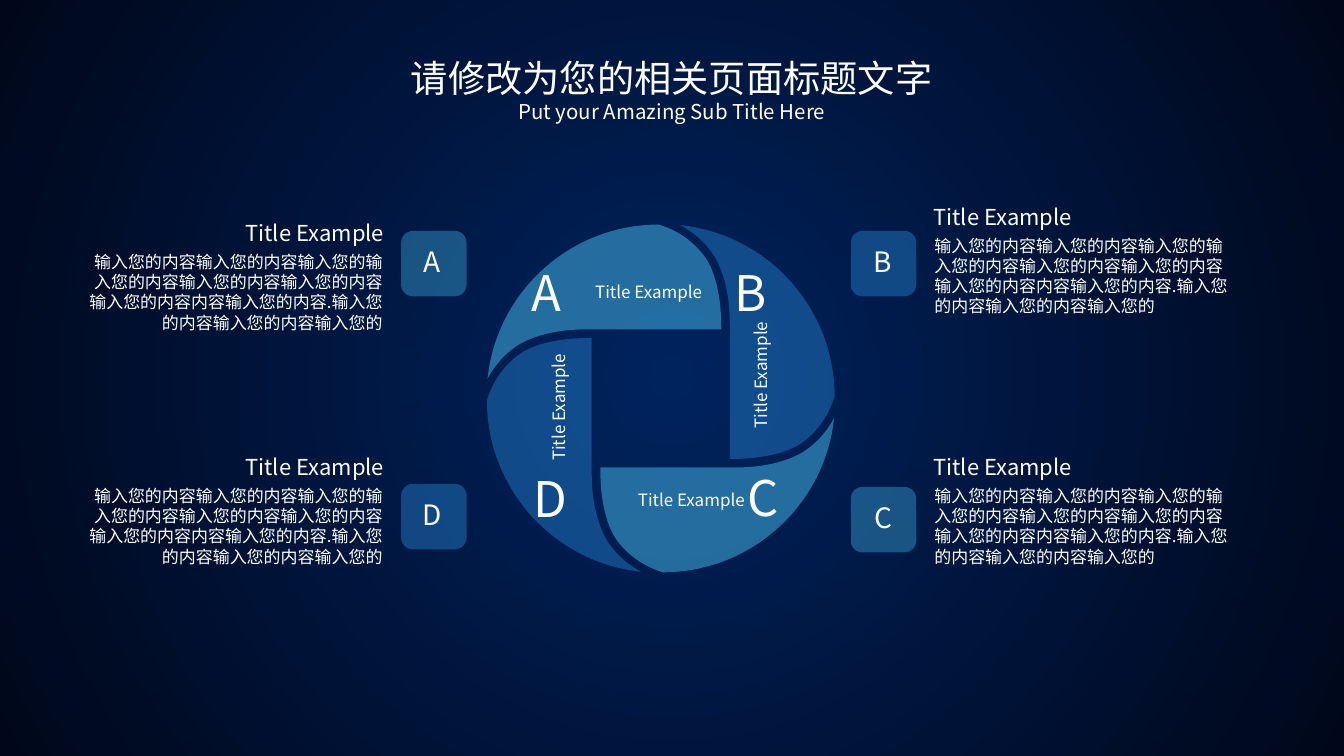
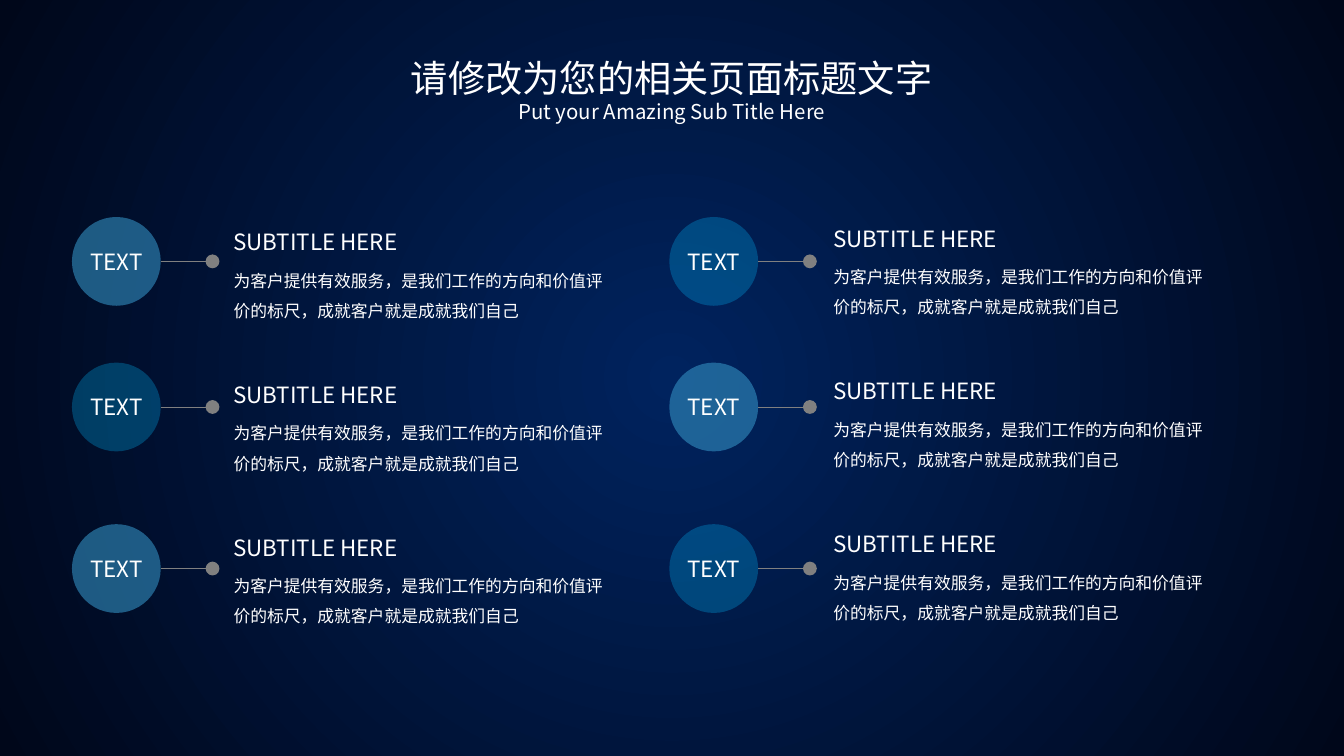
from lxml import etree
from pptx import Presentation
from pptx.dml.color import RGBColor
from pptx.enum.shapes import MSO_CONNECTOR, MSO_SHAPE
from pptx.enum.text import MSO_ANCHOR, PP_ALIGN
from pptx.oxml.ns import qn
from pptx.util import Pt

LEFT, CENTER, RIGHT = PP_ALIGN.LEFT, PP_ALIGN.CENTER, PP_ALIGN.RIGHT
MIDDLE = MSO_ANCHOR.MIDDLE
ROUNDED, OVAL = MSO_SHAPE.ROUNDED_RECTANGLE, MSO_SHAPE.OVAL
STRAIGHT = MSO_CONNECTOR.STRAIGHT

WHITE = RGBColor(0xFF, 0xFF, 0xFF)
GLOW = RGBColor(0x00, 0x23, 0x5E)
NIGHT = RGBColor(0x00, 0x07, 0x1A)
TEAL = RGBColor(0x32, 0x8F, 0xC1)
BLUE = RGBColor(0x23, 0x78, 0xC2)
CYAN = RGBColor(0x00, 0xAE, 0xEF)
GREY = RGBColor(0x80, 0x80, 0x80)
SANS, BODY_FONT = "Noto Sans CJK SC", "Arial"

TITLE = "请修改为您的相关页面标题文字"
SUBTITLE = "Put your Amazing Sub Title Here"

# Petal wheel: one outline around the hub, repeated at quarter turns
HUB = (472, 284.6)
PETAL_START = (-100.1, -39.2)
PETAL_SEGMENTS = [  # control, control, end; a straight side has its end only
    [(-84.2, -47.9), (-64.8, -49.3), (-54, -49.3)],
    [(-50.4, -49.3), (-47.5, -49.3), (-47.5, -49.3)],
    [(43.2, -49.3)],
    [(43.2, -56.5), (43.2, -80.3), (33.8, -97.6)],
    [(21.6, -117.7), (0.7, -123.5), (-1.4, -124.2)],
    [(-64.8, -124.2), (-117.4, -76), (-123.8, -14)],
    [(-119.5, -22), (-112.3, -32), PETAL_START],
]
PETAL_TITLE = "Title Example"
PETALS = [  # letter, letter place, title place, title rotation, colour, opacity
    ("A", (379.4, 187.2), (401.5, 201.3), 0, TEAL, 70),
    ("B", (524.8, 187.2), (493.2, 272.6), 270, BLUE, 50),
    ("C", (534.2, 334.1), (432, 349.5), 0, TEAL, 70),
    ("D", (380.9, 334.8), (349.2, 295.6), 270, BLUE, 50),
]

CARD_TITLE = "Title Example"
CARD_BODY = ("输入您的内容输入您的内容输入您的输入您的内容输入您的内容输入您的内容"
             "输入您的内容内容输入您的内容.输入您的内容输入您的内容输入您的")
CARDS = [  # letter, badge top, title top, colour, side
    ("A", 164.9, 157, TEAL, "left"),
    ("B", 164.9, 145.4, BLUE, "right"),
    ("C", 347.8, 324, TEAL, "right"),
    ("D", 345.6, 324, BLUE, "left"),
]
SIDES = {  # badge left, badge right inset, title left, body left, alignment
    "left": (286.5, 10.2, 56.2, 56.5, RIGHT),
    "right": (607.7, 7.6, 666.7, 667.4, LEFT),
}
BADGE = 46.8

ITEM_LABEL = "TEXT"
ITEM_TITLE = "SUBTITLE HERE"
ITEM_BODY = "为客户提供有效服务，是我们工作的方向和价值评价的标尺，成就客户就是成就我们自己"
ITEM_COLUMNS = [(51.4, 159.7, 159.6), (478.1, 588.2, 157)]  # circle, text left, first text top
CIRCLE_TOPS = [155, 259, 374.4]
ITEM_STEP = 109.1
CIRCLE, STEM = 63.4, 37
ITEM_COLOURS = [(TEAL, 60), (CYAN, 30)]


def paint_background(master):
    fill = master.background.fill
    fill.gradient()
    for stop, colour, position in zip(fill.gradient_stops, (GLOW, NIGHT), (0, 1)):
        stop.color.rgb = colour
        stop.position = position
    gradient = master.element.find(".//" + qn("p:bg")).find(".//" + qn("a:gradFill"))
    linear = gradient.find(qn("a:lin"))
    radial = etree.Element(qn("a:path"), {"path": "circle"})
    etree.SubElement(radial, qn("a:fillToRect"), dict.fromkeys("ltrb", "50000"))
    gradient.replace(linear, radial)


def write(shape, text, size, align=LEFT, font=SANS):
    para = shape.text_frame.paragraphs[0]
    para.text = text
    para.alignment = align
    for span in para.runs:
        span.font.size = Pt(size)
        span.font.name = font
        span.font.color.rgb = WHITE
        latin = span.font._element.find(qn("a:latin"))
        latin.addnext(etree.Element(qn("a:ea"), {"typeface": SANS}))


def add_text(page, text, left, top, width, height, size, align=LEFT, font=SANS, inset=(0, 0)):
    box = page.shapes.add_textbox(Pt(left), Pt(top), Pt(width), Pt(height))
    frame = box.text_frame
    frame.word_wrap = True
    frame.margin_left = frame.margin_right = Pt(inset[0])
    frame.margin_top = frame.margin_bottom = Pt(inset[1])
    write(box, text, size, align, font)
    return box


def tint(shape, colour, opacity):
    """Give a shape a see-through fill, without line or shadow."""
    shape.shadow.inherit = False
    shape.line.fill.background()
    shape.fill.solid()
    shape.fill.fore_color.rgb = colour
    colour_node = shape.element.spPr.find(qn("a:solidFill")).find(qn("a:srgbClr"))
    etree.SubElement(colour_node, qn("a:alpha"), {"val": str(opacity * 1000)})


def add_token(page, kind, text, left, top, side, size, colour, opacity):
    """Add a square or round shape with a centred one-line label."""
    token = page.shapes.add_shape(kind, Pt(left), Pt(top), Pt(side), Pt(side))
    tint(token, colour, opacity)
    token.text_frame.word_wrap = False
    token.text_frame.vertical_anchor = MIDDLE
    write(token, text, size, CENTER)
    return token


def add_page(deck):
    page = deck.slides.add_slide(deck.slide_layouts[6])
    add_text(page, TITLE, 196.6, 39.2, 566.8, 32.4, 26.6, CENTER)
    add_text(page, SUBTITLE, 278.4, 70.8, 403.2, 18, 14.6, CENTER)
    return page


def turn_point(point, turns):
    """Turn a point by quarter turns about the hub and place it on the page."""
    x, y = point
    for _ in range(turns):
        x, y = -y, x
    return Pt(HUB[0] + x), Pt(HUB[1] + y)


def add_petal(page, turns):
    segments = [[turn_point(point, turns) for point in segment] for segment in PETAL_SEGMENTS]
    builder = page.shapes.build_freeform(*turn_point(PETAL_START, turns))
    builder.add_line_segments([segment[-1] for segment in segments], close=True)
    petal = builder.convert_to_shape()
    lines = petal.element.spPr.findall(".//" + qn("a:lnTo"))
    for line, segment in zip(lines, segments):
        if len(segment) == 3:
            curve = etree.Element(qn("a:cubicBezTo"))
            for x, y in segment:
                place = {"x": str(x - petal.left), "y": str(y - petal.top)}
                etree.SubElement(curve, qn("a:pt"), place)
            line.getparent().replace(line, curve)
    return petal


def add_wheel(page):
    for turns, (letter, letter_at, title_at, rotation, colour, opacity) in enumerate(PETALS):
        tint(add_petal(page, turns), colour, opacity)
        add_text(page, letter, *letter_at, 38.9, 42.5, 35)
        title = add_text(page, PETAL_TITLE, *title_at, 100, 14.4, 12.1, RIGHT)
        title.rotation = rotation


def add_cards(page):
    for letter, badge_top, title_top, colour, side in CARDS:
        badge_left, badge_inset, title_left, body_left, align = SIDES[side]
        badge = add_token(page, ROUNDED, letter, badge_left, badge_top, BADGE, 20, colour, 50)
        badge.adjustments[0] = 0.18
        badge.text_frame.margin_bottom = Pt(6.5)
        badge.text_frame.margin_right = Pt(badge_inset)
        add_text(page, CARD_TITLE, title_left, title_top, 218.2, 18.7, 15.7, align)
        add_text(page, CARD_BODY, body_left, title_top + 22.5, 216.7, 59, 12.1, align)


def add_stem(page, left, y):
    """Add a thin line that ends in a dot."""
    stem = page.shapes.add_connector(STRAIGHT, Pt(left), Pt(y), Pt(left + STEM), Pt(y))
    stem.line.color.rgb = GREY
    stem.line.width = Pt(0.5)
    properties = stem.element.spPr
    etree.SubElement(properties.find(qn("a:ln")), qn("a:tailEnd"),
                     {"type": "oval", "w": "lg", "len": "lg"})
    etree.SubElement(properties, qn("a:effectLst"))


def add_items(page):
    for column, (circle_left, text_left, first_top) in enumerate(ITEM_COLUMNS):
        for row, circle_top in enumerate(CIRCLE_TOPS):
            colour, opacity = ITEM_COLOURS[(row + column) % 2]
            add_token(page, OVAL, ITEM_LABEL, circle_left, circle_top, CIRCLE, 16, colour, opacity)
            add_stem(page, circle_left + CIRCLE, circle_top + CIRCLE / 2)
            top = first_top + row * ITEM_STEP
            add_text(page, ITEM_TITLE, text_left, top, 279.4, 26.6, 16, inset=(7.2, 3.6))
            body = add_text(page, ITEM_BODY, text_left, top + 22.8, 279.4, 51, 12,
                            font=BODY_FONT, inset=(7.2, 3.6))
            body.text_frame.paragraphs[0].line_spacing = 1.5


def main():
    deck = Presentation()
    deck.slide_width, deck.slide_height = Pt(960), Pt(540)
    paint_background(deck.slide_master)
    wheel_page = add_page(deck)
    add_wheel(wheel_page)
    add_cards(wheel_page)
    add_items(add_page(deck))
    deck.save("out.pptx")


if __name__ == "__main__":
    main()
